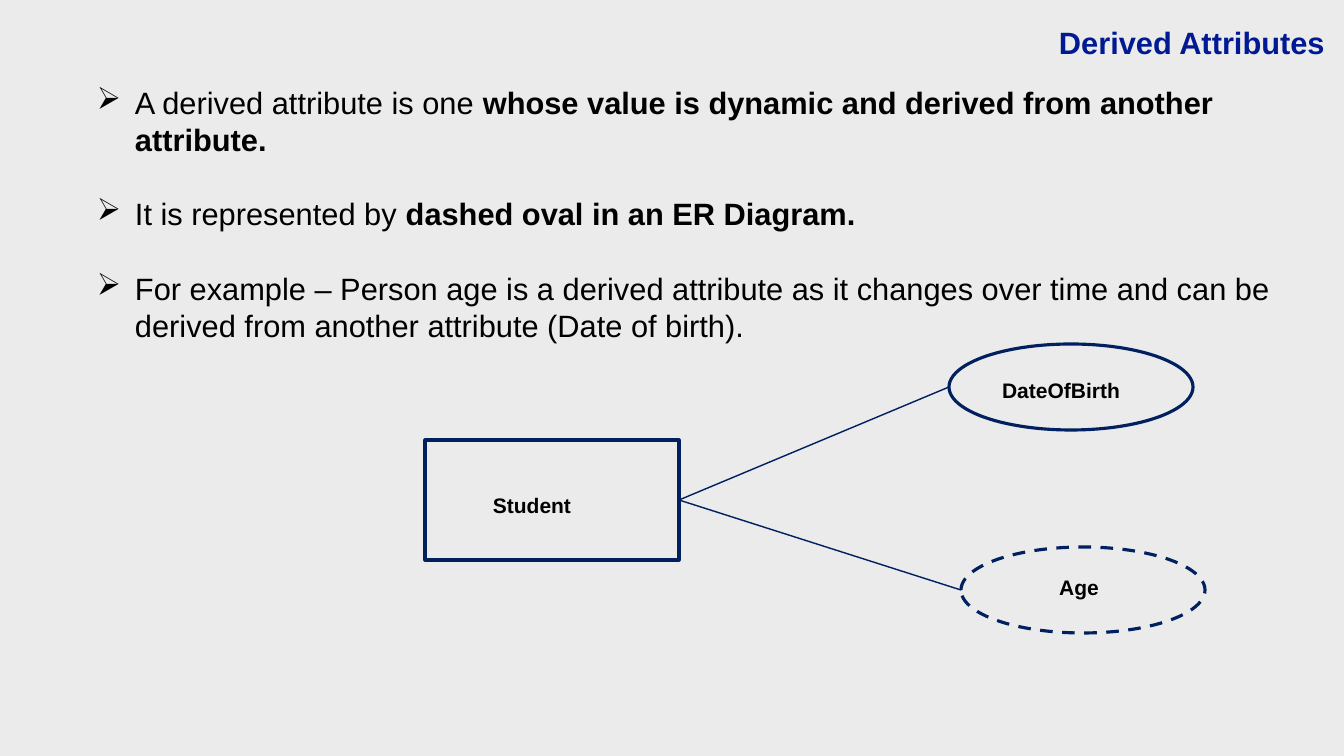
import lxml.etree
import pptx
import pptx.dml.color
import pptx.enum.dml
import pptx.enum.shapes
import pptx.enum.text
import pptx.oxml.ns
import pptx.util

PX = 18143
SHAPES = pptx.enum.shapes.MSO_SHAPE
ALIGN = pptx.enum.text.PP_ALIGN
DASH = pptx.enum.dml.MSO_LINE.DASH

THEME = {
    "font": "Arial", "background": "EBEBEB", "text": "000000", "title": "011993",
    "outline": "002060", "heading_size": 44, "label_size": 30,
    "outline_width": 4.5, "link_width": 2, "line_pitch": 53,
}

TITLE = {"text": "Derived Attributes", "at": (490, 21, 838, 43)}
BULLET = {"char": "➢", "indent": 38}
BODY_AT = (94, 80, 1196, 267)
BODY = [
    [("A derived attribute is one ", False),
     ("whose value is dynamic and derived from another attribute.", True)],
    [("It is represented by ", False), ("dashed oval in an ER Diagram.", True)],
    [("For example – Person age is a derived attribute as it changes over time and can be "
      "derived from another attribute (Date of birth).", False)],
]
LABEL_SIZE = (184, 31)
ENTITY = {"name": "Student", "kind": SHAPES.FLOWCHART_PROCESS,
          "at": (425, 440, 254, 120), "label": (440, 490), "dash": None}
ATTRIBUTES = [
    {"name": "DateOfBirth", "kind": SHAPES.OVAL,
     "at": (949, 344, 244, 86), "label": (969, 375), "dash": None},
    {"name": "Age", "kind": SHAPES.OVAL,
     "at": (961, 547, 244, 86), "label": (987, 572), "dash": DASH},
]


def px(*values):
    return [value * PX for value in values]


def color(name):
    return pptx.dml.color.RGBColor.from_string(THEME[name])


def set_all(target, values):
    for name, value in values.items():
        setattr(target, name, value)


def add_run(paragraph, text, size, ink, bold):
    run = paragraph.add_run()
    run.text = text
    set_all(run.font, {"name": THEME["font"], "size": pptx.util.Pt(THEME[size]), "bold": bold})
    run.font.color.rgb = color(ink)


def add_text_frame(slide, box):
    frame = slide.shapes.add_textbox(*px(*box)).text_frame
    margins = dict.fromkeys(
        ("margin_left", "margin_top", "margin_right", "margin_bottom"), 3 * PX)
    set_all(frame, {"word_wrap": True,
                    "vertical_anchor": pptx.enum.text.MSO_ANCHOR.MIDDLE, **margins})
    return frame


def add_line_of_text(slide, text, box, size, ink, alignment):
    paragraph = add_text_frame(slide, box).paragraphs[0]
    paragraph.alignment = alignment
    add_run(paragraph, text, size, ink, True)


def add_body(slide):
    frame = add_text_frame(slide, BODY_AT)
    pitch = pptx.util.Pt(THEME["line_pitch"])
    for index, runs in enumerate(BODY):
        paragraph = frame.add_paragraph() if index else frame.paragraphs[0]
        paragraph.line_spacing = pitch
        if index:
            paragraph.space_before = pitch
        properties = paragraph._p.get_or_add_pPr()
        properties.set("marL", str(BULLET["indent"] * PX))
        properties.set("indent", str(-BULLET["indent"] * PX))
        bullet = lxml.etree.SubElement(properties, pptx.oxml.ns.qn("a:buChar"))
        bullet.set("char", BULLET["char"])
        for text, bold in runs:
            add_run(paragraph, text, "heading_size", "text", bold)


def style_line(line, width, dash=None):
    line.color.rgb = color("outline")
    set_all(line, {"width": pptx.util.Pt(THEME[width]), "dash_style": dash})


def add_node(slide, node):
    shape = slide.shapes.add_shape(node["kind"], *px(*node["at"]))
    shape.shadow.inherit = False
    shape.fill.background()
    style_line(shape.line, "outline_width", node["dash"])
    return shape


def add_label(slide, node):
    add_line_of_text(slide, node["name"], node["label"] + LABEL_SIZE,
                     "label_size", "text", ALIGN.CENTER)


def add_link(slide, entity, attribute):
    start = (entity.left + entity.width, entity.top + entity.height // 2)
    end = (attribute.left, attribute.top + attribute.height // 2)
    link = slide.shapes.add_connector(
        pptx.enum.shapes.MSO_CONNECTOR.STRAIGHT, *start, *end)
    link.begin_connect(entity, 3)
    style_line(link.line, "link_width")
    lxml.etree.SubElement(link._element.spPr, pptx.oxml.ns.qn("a:effectLst"))


def main():
    presentation = pptx.Presentation()
    set_all(presentation, {"slide_width": 1344 * PX, "slide_height": 756 * PX})
    slide = presentation.slides.add_slide(presentation.slide_layouts[6])
    slide.background.fill.solid()
    slide.background.fill.fore_color.rgb = color("background")

    add_body(slide)
    add_line_of_text(slide, TITLE["text"], TITLE["at"], "heading_size", "title", ALIGN.RIGHT)
    entity = add_node(slide, ENTITY)
    for attribute in ATTRIBUTES:
        add_link(slide, entity, add_node(slide, attribute))
    for node in [ENTITY, *ATTRIBUTES]:
        add_label(slide, node)

    presentation.save("out.pptx")


if __name__ == "__main__":
    main()
